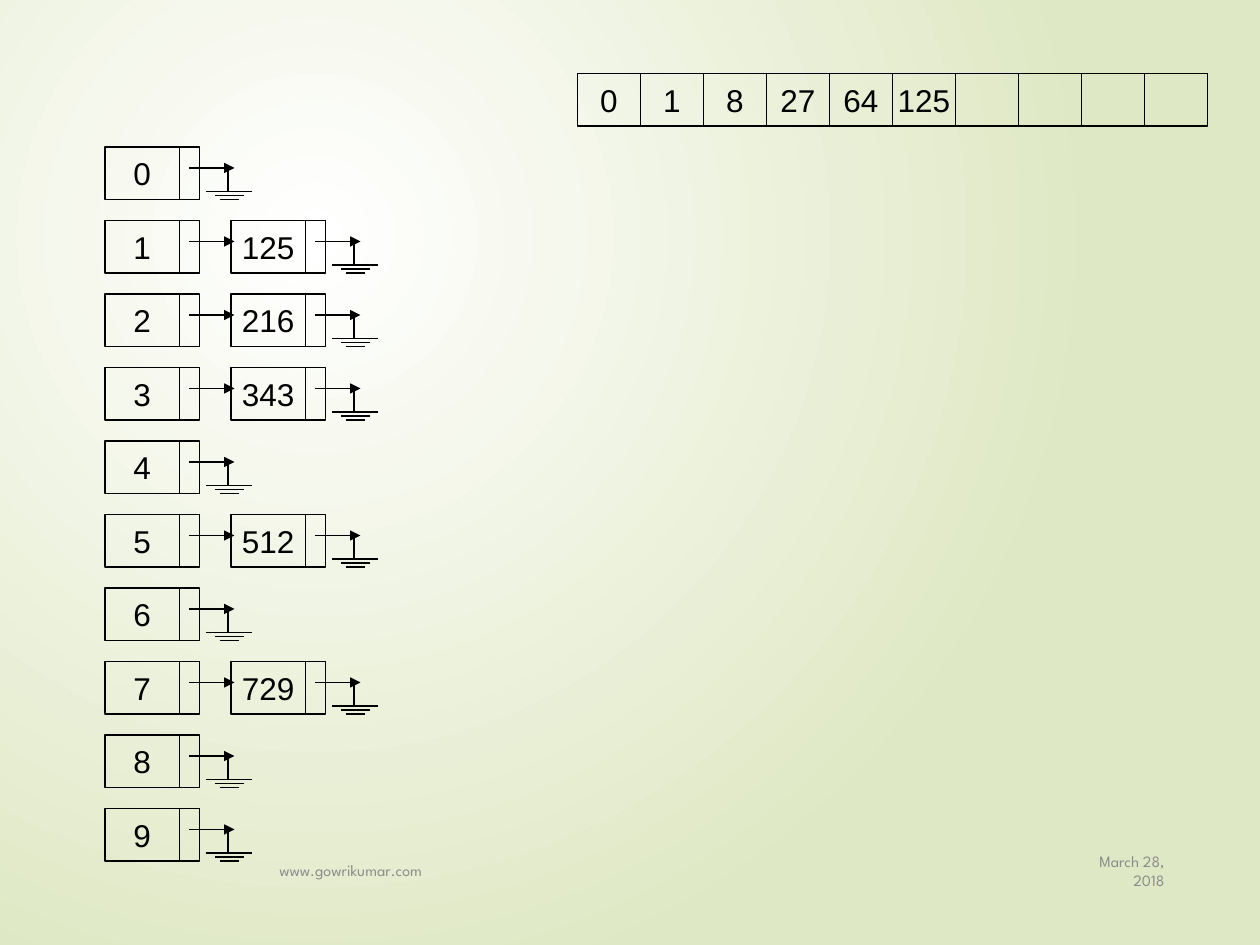
from dataclasses import dataclass

from pptx import Presentation
from pptx.dml.color import RGBColor
from pptx.enum.shapes import MSO_CONNECTOR, MSO_SHAPE
from pptx.enum.text import MSO_ANCHOR, PP_ALIGN
from pptx.oxml.ns import qn
from pptx.util import Pt
from lxml import etree

RECT = MSO_SHAPE.RECTANGLE
STRAIGHT = MSO_CONNECTOR.STRAIGHT
MIDDLE = MSO_ANCHOR.MIDDLE
LEFT, CENTER, RIGHT = PP_ALIGN.LEFT, PP_ALIGN.CENTER, PP_ALIGN.RIGHT


@dataclass(frozen=True)
class Theme:
    ink: RGBColor = RGBColor(0, 0, 0)
    muted: RGBColor = RGBColor(0x8C, 0x8C, 0x8C)
    glow: RGBColor = RGBColor(0xFF, 0xFF, 0xFF)
    edge: RGBColor = RGBColor(0xDF, 0xE8, 0xC4)
    body: str = "Arial"
    foot: str = "League Spartan"
    large: float = 18
    small: float = 9
    stroke: float = 0.75


THEME = Theme()

CUBES = ["0", "1", "8", "27", "64", "125", "", "", "", ""]
CHAINS = [
    ["0"], ["1", "125"], ["2", "216"], ["3", "343"], ["4"],
    ["5", "512"], ["6"], ["7", "729"], ["8"], ["9"],
]
FOOTERS = [
    ("www.gowrikumar.com", 152.5, 450, LEFT),
    ("March 28, 2018", 612, 60.5, RIGHT),
]

HIGH = 30
CELL = 36
ARRAY_X, ARRAY_Y = 330, 42
CHAIN_X, CHAIN_Y = 60, 84
STEP_X, STEP_Y = 72, 42
DATA, LINK = 42.5, 11.5
ARROW = (48, 12, 74, 12)
GROUND = [
    (58, 25.5, 84, 25.5),
    (65.5, 30, 76.5, 30),
    (63, 27.75, 79.5, 27.75),
    (70.25, 25.5, 70.25, 12),
]


def style(para, name, size, color, align):
    para.alignment = align
    para.font.name = name
    para.font.size = Pt(size)
    para.font.color.rgb = color


def outline(item):
    item.line.color.rgb = THEME.ink
    item.line.width = Pt(THEME.stroke)


def add_box(shapes, text, x, y, width):
    box = shapes.add_shape(RECT, Pt(x), Pt(y), Pt(width), Pt(HIGH))
    box.shadow.inherit = False
    box.fill.background()
    outline(box)
    if text:
        frame = box.text_frame
        frame.word_wrap = False
        frame.vertical_anchor = MIDDLE
        frame.text = text
        style(frame.paragraphs[0], THEME.body, THEME.large, THEME.ink, CENTER)


def add_line(shapes, x, y, ends, arrow=False):
    x1, y1, x2, y2 = ends
    line = shapes.add_connector(
        STRAIGHT, Pt(x + x1), Pt(y + y1), Pt(x + x2), Pt(y + y2))
    outline(line)
    if arrow:
        etree.SubElement(line.line._get_or_add_ln(), qn("a:tailEnd"), type="triangle")
    etree.SubElement(line.element.spPr, qn("a:effectLst"))


def add_node(slide, text, x, y, last):
    shapes = slide.shapes.add_group_shape().shapes
    add_box(shapes, text, x, y, DATA)
    add_box(shapes, "", x + DATA, y, LINK)
    add_line(shapes, x, y, ARROW, arrow=True)
    if last:
        for ends in GROUND:
            add_line(shapes, x, y, ends)


def add_footer(slide, text, x, width, align):
    box = slide.shapes.add_textbox(Pt(x), Pt(483), Pt(width), Pt(29))
    frame = box.text_frame
    frame.word_wrap = True
    frame.vertical_anchor = MIDDLE
    frame.text = text
    style(frame.paragraphs[0], THEME.foot, THEME.small, THEME.muted, align)


def paint(slide):
    fill = slide.background.fill
    fill.gradient()
    for stop, color in zip(fill.gradient_stops, (THEME.glow, THEME.edge)):
        stop.color.rgb = color
    grad = slide.element.find(".//" + qn("a:gradFill"))
    grad.remove(grad.find(qn("a:lin")))
    shade = etree.SubElement(grad, qn("a:path"), {"path": "circle"})
    etree.SubElement(shade, qn("a:fillToRect"),
                     l="50000", t="50000", r="100000", b="100000")


def main():
    deck = Presentation()
    deck.slide_width, deck.slide_height = Pt(720), Pt(540)
    slide = deck.slides.add_slide(deck.slide_layouts[6])
    paint(slide)
    for footer in FOOTERS:
        add_footer(slide, *footer)
    for col, cube in enumerate(CUBES):
        add_box(slide.shapes, cube, ARRAY_X + col * CELL, ARRAY_Y, CELL)
    for row, chain in enumerate(CHAINS):
        for col, text in enumerate(chain):
            add_node(slide, text, CHAIN_X + col * STEP_X,
                     CHAIN_Y + row * STEP_Y, col == len(chain) - 1)
    deck.save("out.pptx")


if __name__ == "__main__":
    main()
